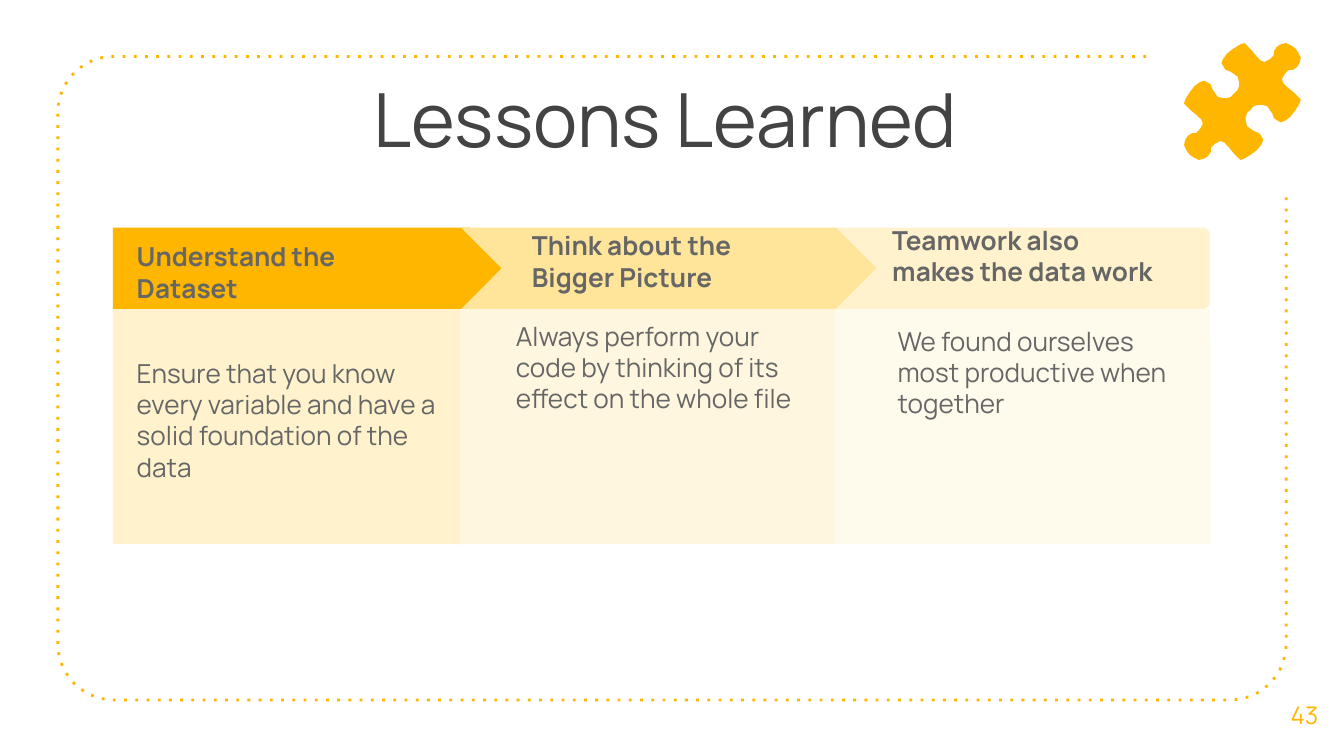
from math import cos, sin, radians
from pptx import Presentation
from pptx.dml.color import RGBColor as RGB
from pptx.enum.dml import MSO_LINE as DASH
from pptx.enum.shapes import MSO_SHAPE as SHAPE
from pptx.enum.text import MSO_ANCHOR as ANCHOR, PP_ALIGN as ALIGN
from pptx.util import Pt

COLORS = {
    "amber": "FFB600", "honey": "FFE599", "cream": "FFF2CC", "ivory": "FFF6E0",
    "pale": "FFFBEC", "white": "FFFFFF", "title": "434343", "text": "666666",
}
FRAME = {"left": 31, "top": 30.25, "right": 689, "bottom": 375, "radius": 30}
PUZZLE_CENTER = (665.6, 54.4)
PUZZLE_QUARTER = [
    (-4, -4.7), (-2.5, -6.1), (-1.8, -8.3), (-1.8, -10.4), (-2.5, -13.3),
    (-4.7, -14.8), (-6.8, -16.2), (-9, -16.9), (-10.4, -19.1), (-11.2, -20.5),
    (-10.4, -22.7), (-8.3, -25.6), (-4.7, -28.4), (-1.1, -30.6), (1.1, -31.3),
    (2.5, -29.9), (4.7, -27.7), (7.6, -24.1), (9.7, -22), (11.9, -21.2),
    (14.8, -22.7), (16.9, -24.8), (16.9, -27), (18.4, -29.2), (20.5, -30.6),
    (23.4, -31.3), (26.3, -29.9), (28.4, -28.4),
]
BANDS = [
    (SHAPE.RECTANGLE, 447, 165.6, 201.6, 126, "pale"),
    (SHAPE.RECTANGLE, 246, 165.6, 201.6, 126, "ivory"),
    (SHAPE.RECTANGLE, 60.5, 165.6, 185.8, 126, "cream"),
    (SHAPE.CHEVRON, 445, 122, 222.5, 43.5, "cream"),
    (SHAPE.PENTAGON, 60.5, 122, 213, 43.5, "amber"),
    (SHAPE.CHEVRON, 247, 122, 222.5, 43.5, "honey"),
    (SHAPE.RECTANGLE, 648, 111, 29.5, 71, "white"),
]


class Deck:
    """Holds the text style and the current slide, and adds elements to it."""

    def __init__(self, prs, font="Manrope"):
        self.font = font
        self.s = prs.slides.add_slide(prs.slide_layouts[6])

    def color(self, name):
        return RGB.from_string(COLORS[name])

    def paint(self, sp, fill):
        sp.shadow.inherit = False
        sp.fill.solid()
        sp.fill.fore_color.rgb = self.color(fill)
        sp.line.fill.background()

    def band(self, kind, x, y, w, h, fill):
        sp = self.s.shapes.add_shape(kind, Pt(x), Pt(y), Pt(w), Pt(h))
        self.paint(sp, fill)

    def outline(self, points, close):
        pts = [(Pt(x), Pt(y)) for x, y in points]
        fb = self.s.shapes.build_freeform(*pts[0])
        fb.add_line_segments(pts[1:], close=close)
        return fb.convert_to_shape()

    def dotted(self, points, color):
        sp = self.outline(points, False)
        sp.shadow.inherit = False
        sp.fill.background()
        sp.line.color.rgb = self.color(color)
        for name, value in {"width": Pt(1.5), "dash_style": DASH.ROUND_DOT}.items():
            setattr(sp.line, name, value)
        sp.element.xpath(".//a:prstDash")[0].set("val", "dot")

    def solid(self, points, fill):
        self.paint(self.outline(points, True), fill)

    def text(self, x, y, w, h, paras, size=14, color="text",
             align=ALIGN.LEFT, anchor=ANCHOR.TOP, before=6):
        tf = self.s.shapes.add_textbox(Pt(x), Pt(y), Pt(w), Pt(h)).text_frame
        frame = {"word_wrap": True, "vertical_anchor": anchor}
        frame |= {f"margin_{k}": Pt(7.2) for k in ("left", "top", "right", "bottom")}
        for name, value in frame.items():
            setattr(tf, name, value)
        for i, (words, bold) in enumerate(paras):
            p = tf.add_paragraph() if i else tf.paragraphs[0]
            p.alignment = align
            p.space_before = Pt(28.8 if i else before)
            r = p.add_run()
            r.text = words
            fmt = {"name": self.font, "size": Pt(size), "bold": bold}
            for name, value in fmt.items():
                setattr(r.font, name, value)
            r.font.color.rgb = self.color(color)


def arc(cx, cy, radius, start):
    angles = [radians(start - 6 * i) for i in range(16)]
    return [(cx + radius * cos(a), cy + radius * sin(a)) for a in angles]


def frame_points(left, top, right, bottom, radius):
    x1, x2 = left + radius, right - radius
    y1, y2 = top + radius, bottom - radius
    return [(614, top), *arc(x1, y1, radius, 270), *arc(x1, y2, radius, 180),
            *arc(x2, y2, radius, 90), (right, 105)]


def puzzle_points():
    half = PUZZLE_QUARTER + [(-y, -x) for x, y in reversed(PUZZLE_QUARTER)]
    cx, cy = PUZZLE_CENTER
    return [(cx + k * x, cy + k * y) for k in (1, -1) for x, y in half]


def main():
    prs = Presentation()
    prs.slide_width, prs.slide_height = Pt(720), Pt(405)
    deck = Deck(prs)
    deck.dotted(frame_points(**FRAME), "amber")
    for band in BANDS:
        deck.band(*band)
    deck.text(148.3, 31.7, 424, 67.7, [("Lessons Learned ", False)],
              40, "title", ALIGN.CENTER, before=0)
    deck.text(66.2, 121.7, 175.7, 161.3, [
        ("Understand the Dataset", True),
        ("Ensure that you know every variable and have a solid foundation of the data", False),
    ])
    deck.text(277.9, 115.9, 154.8, 52.6, [("Think about the Bigger Picture", True)])
    deck.text(470.9, 113, 154.8, 52.6, [("Teamwork also makes the data work", True)])
    deck.text(677.5, 361.4, 42.5, 43.2, [("43", False)], 13, "amber",
              ALIGN.CENTER, ANCHOR.MIDDLE, 0)
    deck.solid(puzzle_points(), "amber")
    deck.text(473.8, 167, 162.7, 52.6,
              [("We found ourselves most productive when together", False)])
    deck.text(269.3, 164.2, 162.7, 52.6,
              [("Always perform your code by thinking of its effect on the whole file", False)])
    prs.save("out.pptx")


if __name__ == "__main__":
    main()
